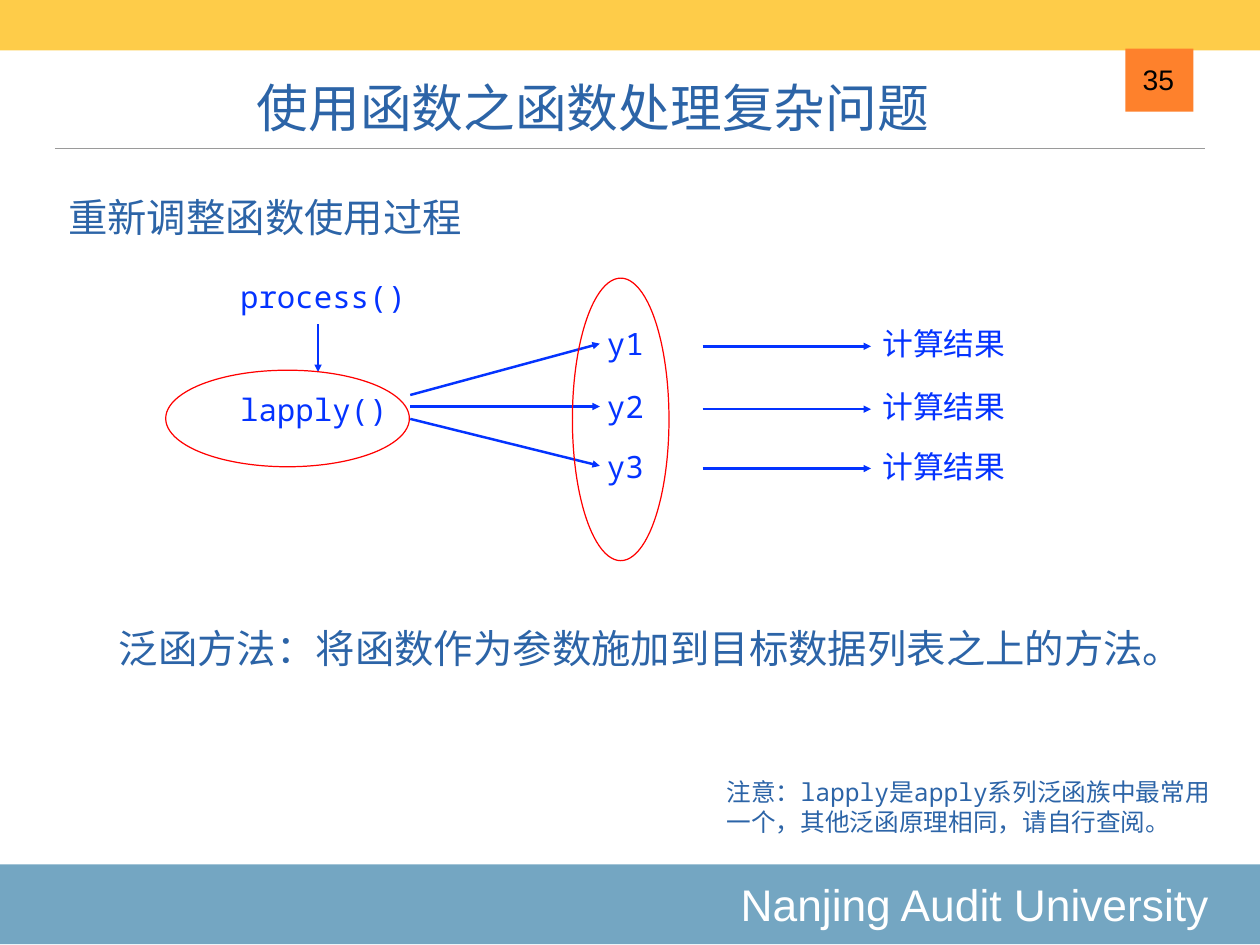
from lxml import etree
from pptx import Presentation
from pptx.dml.color import RGBColor
from pptx.enum.shapes import MSO_CONNECTOR, MSO_SHAPE
from pptx.enum.text import MSO_ANCHOR, PP_ALIGN
from pptx.oxml.ns import qn
from pptx.util import Inches, Pt

STRAIGHT = MSO_CONNECTOR.STRAIGHT
RECTANGLE, OVAL = MSO_SHAPE.RECTANGLE, MSO_SHAPE.OVAL
MIDDLE, BOTTOM = MSO_ANCHOR.MIDDLE, MSO_ANCHOR.BOTTOM
LEFT, CENTER, RIGHT = PP_ALIGN.LEFT, PP_ALIGN.CENTER, PP_ALIGN.RIGHT
NAVY, BLUE, RED = "2C64A7", "0433FF", "FF0000"
MONO = "Noto Sans Mono"


def write(shape, text, size, color, font=MONO, align=LEFT, anchor=MIDDLE, right=0.06):
    frame = shape.text_frame
    frame_format = {
        "margin_left": Inches(0.06), "margin_top": Inches(0.06),
        "margin_right": Inches(right), "margin_bottom": Inches(0.06),
        "word_wrap": True, "vertical_anchor": anchor,
    }
    for name, value in frame_format.items():
        setattr(frame, name, value)
    paragraph = frame.paragraphs[0]
    paragraph.text = text
    paragraph.alignment = align
    for name, value in {"size": Pt(size), "name": font}.items():
        setattr(paragraph.font, name, value)
    paragraph.font.color.rgb = RGBColor.from_string(color)


def connect(start, end, color, width, arrow=True):
    connector = slide.shapes.add_connector(STRAIGHT, *map(Inches, start + end))
    connector.line.color.rgb = RGBColor.from_string(color)
    connector.line.width = Pt(width)
    if arrow:
        etree.SubElement(connector.line._get_or_add_ln(), qn("a:tailEnd"), type="triangle")
    etree.SubElement(connector._element.spPr, qn("a:effectLst"))


presentation = Presentation()
presentation.slide_width = Inches(14.22)
presentation.slide_height = Inches(10.67)
slide = presentation.slides.add_slide(presentation.slide_layouts[5])

# Title rule and coloured bands
connect((0.62, 1.68), (13.6, 1.68), "9A9A9A", 1, arrow=False)
bands = {}
for name, box, color in [
    ("footer", (-0.02, 9.76, 14.26, 0.9), "74A6C2"),
    ("header", (-0.02, 0, 14.26, 0.57), "FECC49"),
    ("page square", (12.7, 0.55, 0.77, 0.71), "FE812C"),
]:
    band = slide.shapes.add_shape(RECTANGLE, *map(Inches, box))
    band.shadow.inherit = False
    band.fill.solid()
    band.fill.fore_color.rgb = RGBColor.from_string(color)
    band.line.fill.background()
    bands[name] = band
write(bands["footer"], "Nanjing Audit University", 36, "FFFFFF", "Arial", RIGHT, right=0.6)

# Title and page number
title = slide.shapes.title
title.left, title.top, title.width, title.height = map(Inches, (0.83, 0.62, 11.72, 1))
write(title, "使用函数之函数处理复杂问题", 42, NAVY, "Arial", CENTER, BOTTOM)
page_number = slide.shapes.add_textbox(*map(Inches, (12.77, 0.65, 0.54, 0.49)))
write(page_number, "35", 23, "000000", "Arial", RIGHT, BOTTOM)

# Headings, function names and note
for text, box, size, color in [
    ("重新调整函数使用过程", (0.71, 2.12, 4.7, 0.65), 32, NAVY),
    ("process()", (2.65, 3.07, 2.09, 0.54), 25, BLUE),
    ("lapply()", (2.65, 4.35, 2.09, 0.54), 25, BLUE),
    ("泛函方法：将函数作为参数施加到目标数据列表之上的方法。", (1.28, 6.99, 12.52, 0.65), 32, NAVY),
    ("注意：lapply是apply系列泛函族中最常用一个，其他泛函原理相同，请自行查阅。",
     (8.14, 8.71, 5.66, 0.79), 20, NAVY),
]:
    write(slide.shapes.add_textbox(*map(Inches, box)), text, size, color)
connect((3.59, 3.66), (3.59, 4.2), BLUE, 2)

# One row per data item: arrow from lapply(), item, arrow, result
for item, middle, fan_start in [("y1", 3.88, 4.46), ("y2", 4.59, 4.59), ("y3", 5.26, 4.73)]:
    connect((4.63, fan_start), (6.77, middle), BLUE, 2)
    connect((7.93, middle + 0.03), (9.83, middle + 0.03), BLUE, 2)
    for text, left, width, height in [(item, 6.79, 1.06, 0.54), ("计算结果", 9.9, 1.68, 0.61)]:
        label = slide.shapes.add_textbox(
            Inches(left), Inches(middle - height / 2), Inches(width), Inches(height))
        write(label, text, 25, BLUE)

# Red rings around lapply() and the data items
for box in [(1.87, 4.18, 2.75, 1.09), (6.46, 3.14, 1.09, 3.19)]:
    ring = slide.shapes.add_shape(OVAL, *map(Inches, box))
    ring.shadow.inherit = False
    ring.fill.background()
    ring.line.color.rgb = RGBColor.from_string(RED)
    ring.line.width = Pt(1)

presentation.save("out.pptx")
